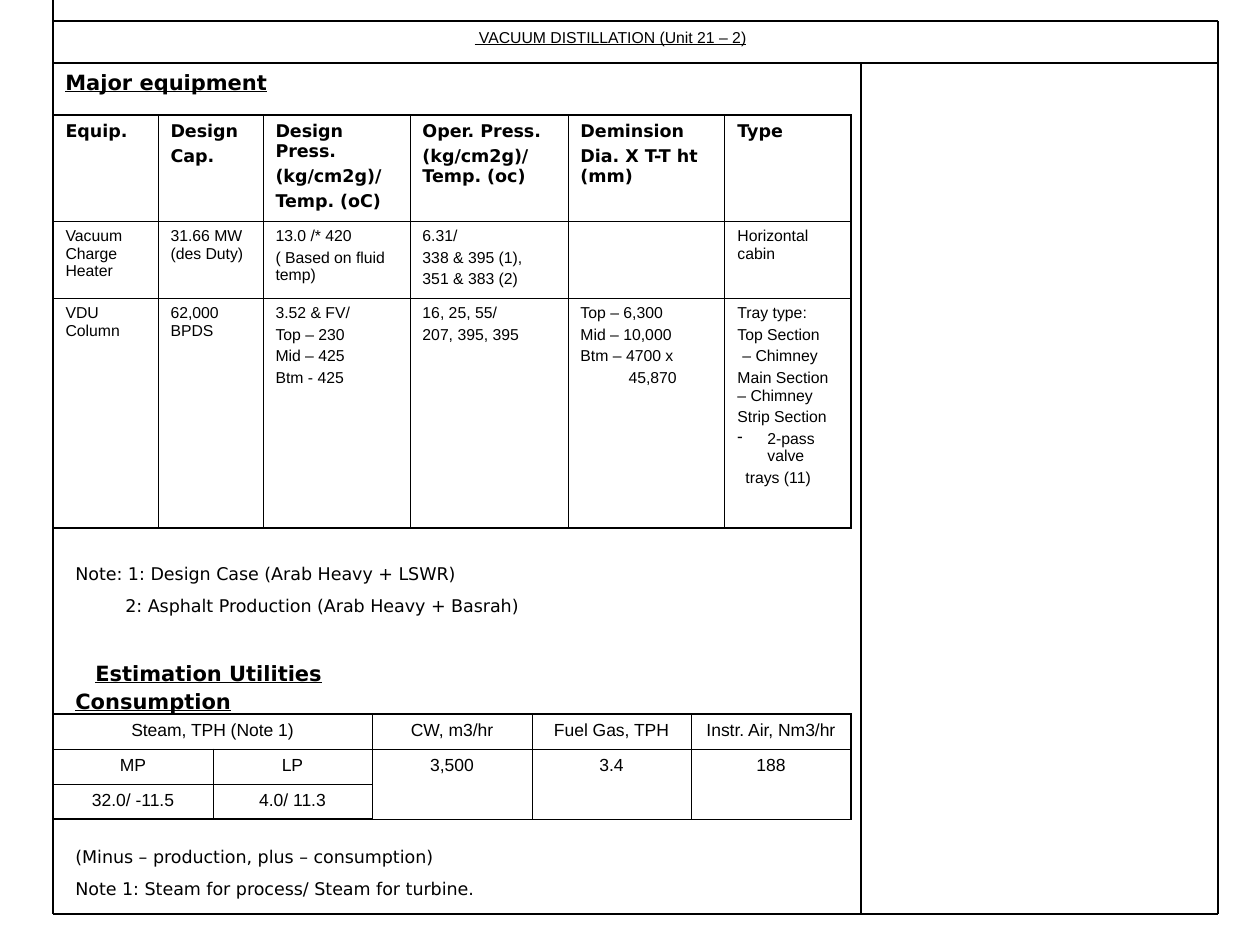
from pptx import Presentation
from pptx.dml.color import RGBColor
from pptx.enum.shapes import MSO_CONNECTOR
from pptx.enum.text import MSO_ANCHOR, MSO_AUTO_SIZE, PP_ALIGN
from pptx.oxml.ns import qn
from pptx.util import Pt
from lxml import etree

STRAIGHT = MSO_CONNECTOR.STRAIGHT
TOP = MSO_ANCHOR.TOP
NO_FIT = MSO_AUTO_SIZE.NONE
LEFT, CENTER = PP_ALIGN.LEFT, PP_ALIGN.CENTER

PX = 914400 / 126
COLORS = {"ink": "000000"}
INK = RGBColor.from_string(COLORS["ink"])
OUTER, INNER = 1.08, 0.45

TITLE = {"name": "Arial", "size": Pt(9), "bold": False, "underline": True}
HEADING = {"name": "DejaVu Sans", "size": Pt(12), "bold": True, "underline": True}
NOTE = {"name": "DejaVu Sans", "size": Pt(10)}
HEAD_CELL = {"name": "DejaVu Sans", "size": Pt(10), "bold": True}
BODY_CELL = {"name": "Arial", "size": Pt(9)}
UTILITY_CELL = {"name": "Arial", "size": Pt(10)}

# A paragraph is a string, or a (string, indents in px and bullet) pair.
EQUIPMENT = [
    [["Equip."], ["Design", "Cap."],
     ["Design Press.", "(kg/cm2g)/", "Temp. (oC)"],
     ["Oper. Press.", "(kg/cm2g)/ Temp. (oc)"],
     ["Deminsion", "Dia. X T-T ht (mm)"], ["Type"]],
    [["Vacuum Charge Heater"], ["31.66 MW (des Duty)"],
     ["13.0 /* 420", "( Based on fluid temp)"],
     ["6.31/", "338 & 395 (1),", "351 & 383 (2)"],
     [], ["Horizontal cabin"]],
    [["VDU Column"], ["62,000 BPDS"],
     ["3.52 & FV/", "Top – 230", "Mid – 425", "Btm - 425"],
     ["16, 25, 55/", "207, 395, 395"],
     ["Top – 6,300", "Mid – 10,000", "Btm – 4700 x", ("45,870", {"marL": 48})],
     ["Tray type:", "Top Section", ("– Chimney", {"marL": 5}),
      "Main Section – Chimney", "Strip Section",
      ("2-pass valve", {"marL": 30, "indent": -30, "bullet": "-"}),
      ("trays (11)", {"marL": 8})]],
]
UTILITIES = [
    [["Steam, TPH (Note 1)"], [], ["CW, m3/hr"], ["Fuel Gas, TPH"], ["Instr. Air, Nm3/hr"]],
    [["MP"], ["LP"], ["3,500"], ["3.4"], ["188"]],
    [["32.0/ -11.5"], ["4.0/ 11.3"], [], [], []],
]
UTILITY_MERGES = [((0, 0), (0, 1))] + [((1, c), (2, c)) for c in (2, 3, 4)]


def px(*values):
    return [round(v * PX) for v in values]


def write(tf, paragraphs, font, gap=0, align=LEFT):
    """Fill a text frame; gap is the points between paragraphs."""
    for i, item in enumerate(paragraphs):
        text, layout = (item, {}) if isinstance(item, str) else item
        p = tf.paragraphs[0] if i == 0 else tf.add_paragraph()
        p.alignment = align
        p.space_before = Pt(gap if i else 0)
        pPr = p._p.get_or_add_pPr()
        for key in ("marL", "indent"):
            if key in layout:
                pPr.set(key, str(round(layout[key] * PX)))
        if "bullet" in layout:
            etree.SubElement(pPr, qn("a:buChar")).set("char", layout["bullet"])
        r = p.add_run()
        r.text = text
        for key, value in font.items():
            setattr(r.font, key, value)
        r.font.color.rgb = INK


def add_text(slide, x, y, w, h, paragraphs, font, gap=0):
    tf = slide.shapes.add_textbox(*px(x, y, w, h)).text_frame
    tf.word_wrap = True
    write(tf, paragraphs, font, gap)
    return tf


def add_frame(slide, x, y, w, h):
    """Draw the page border, the title rule and the side column rule."""
    right, bottom, rule, side = x + w, y + h, y + 42, x + 808
    for ends in ((x, y, right, y), (x, 0, x, bottom), (x, bottom, right, bottom),
                 (right, y, right, bottom), (x, rule, right, rule),
                 (side, rule, side, bottom)):
        line = slide.shapes.add_connector(STRAIGHT, *px(*ends))
        line.line.color.rgb = INK
        line.line.width = Pt(0.75)
        etree.SubElement(line._element.spPr, qn("a:effectLst"))


def add_title(slide, x, y, w, h):
    title = slide.shapes.title
    title.left, title.top, title.width, title.height = px(x, y, w, h)
    tf = title.text_frame
    tf.vertical_anchor = TOP
    tf.auto_size = NO_FIT
    write(tf, [" VACUUM DISTILLATION (Unit 21 – 2)"], TITLE)


def set_borders(cell, widths):
    tcPr = cell._tc.get_or_add_tcPr()
    for i, (side, width) in enumerate(zip("LRTB", widths)):
        ln = etree.Element(qn(f"a:ln{side}"), w=str(Pt(width)))
        fill = etree.SubElement(ln, qn("a:solidFill"))
        etree.SubElement(fill, qn("a:srgbClr"), val=COLORS["ink"])
        tcPr.insert(i, ln)


def add_grid(slide, x, y, cols, rows, content, fonts, gaps, align=LEFT, merges=()):
    """Add a table with a heavy outline; fonts and gaps go by row."""
    table = slide.shapes.add_table(len(rows), len(cols),
                                   *px(x, y, sum(cols), sum(rows))).table
    table.first_row = table.horz_banding = False
    for line, width in zip(table.columns, px(*cols)):
        line.width = width
    for line, height in zip(table.rows, px(*rows)):
        line.height = height
    for start, end in merges:
        table.cell(*start).merge(table.cell(*end))
    for i, row in enumerate(content):
        for j, paragraphs in enumerate(row):
            cell = table.cell(i, j)
            cell.fill.background()
            edges = (j == 0, j == len(cols) - 1, i == 0, i == len(rows) - 1)
            set_borders(cell, [OUTER if edge else INNER for edge in edges])
            write(cell.text_frame, paragraphs, fonts[i], gaps[i], align)


def add_equipment(slide, x, y, w):
    add_text(slide, x, y, w, 38, ["Major equipment"], HEADING)
    add_grid(slide, x, y + 52, [105, 105, 147, 158, 157, 126], [106, 77, 230],
             EQUIPMENT, [HEAD_CELL, BODY_CELL, BODY_CELL], [2.5, 2.2, 2.2])
    add_text(slide, x + 10, y + 494, w, 66,
             ["Note: 1: Design Case (Arab Heavy + LSWR)",
              ("2: Asphalt Production (Arab Heavy + Basrah)", {"marL": 50})], NOTE, 6.2)


def add_utilities(slide, x, y, w):
    tf = add_text(slide, x + 10, y, 389, 62,
                  [("Estimation Utilities Consumption", {"indent": 20})], HEADING)
    tf.paragraphs[0].line_spacing = Pt(16)
    add_grid(slide, x, y + 62, [160, 159, 160, 159, 160], [35] * 3, UTILITIES,
             [UTILITY_CELL] * 3, [0] * 3, CENTER, UTILITY_MERGES)
    add_text(slide, x + 10, y + 188, w, 66,
             ["(Minus – production, plus – consumption)",
              "Note 1: Steam for process/ Steam for turbine."], NOTE, 6.2)


def main():
    prs = Presentation()
    prs.slide_width, prs.slide_height = px(1260, 945)
    slide = prs.slides.add_slide(prs.slide_layouts[5])
    add_frame(slide, 53, 21, 1165, 893)
    add_title(slide, 462, 21, 368, 50)
    add_equipment(slide, 53, 63, 770)
    add_utilities(slide, 53, 652, 770)
    prs.save("out.pptx")


if __name__ == "__main__":
    main()
